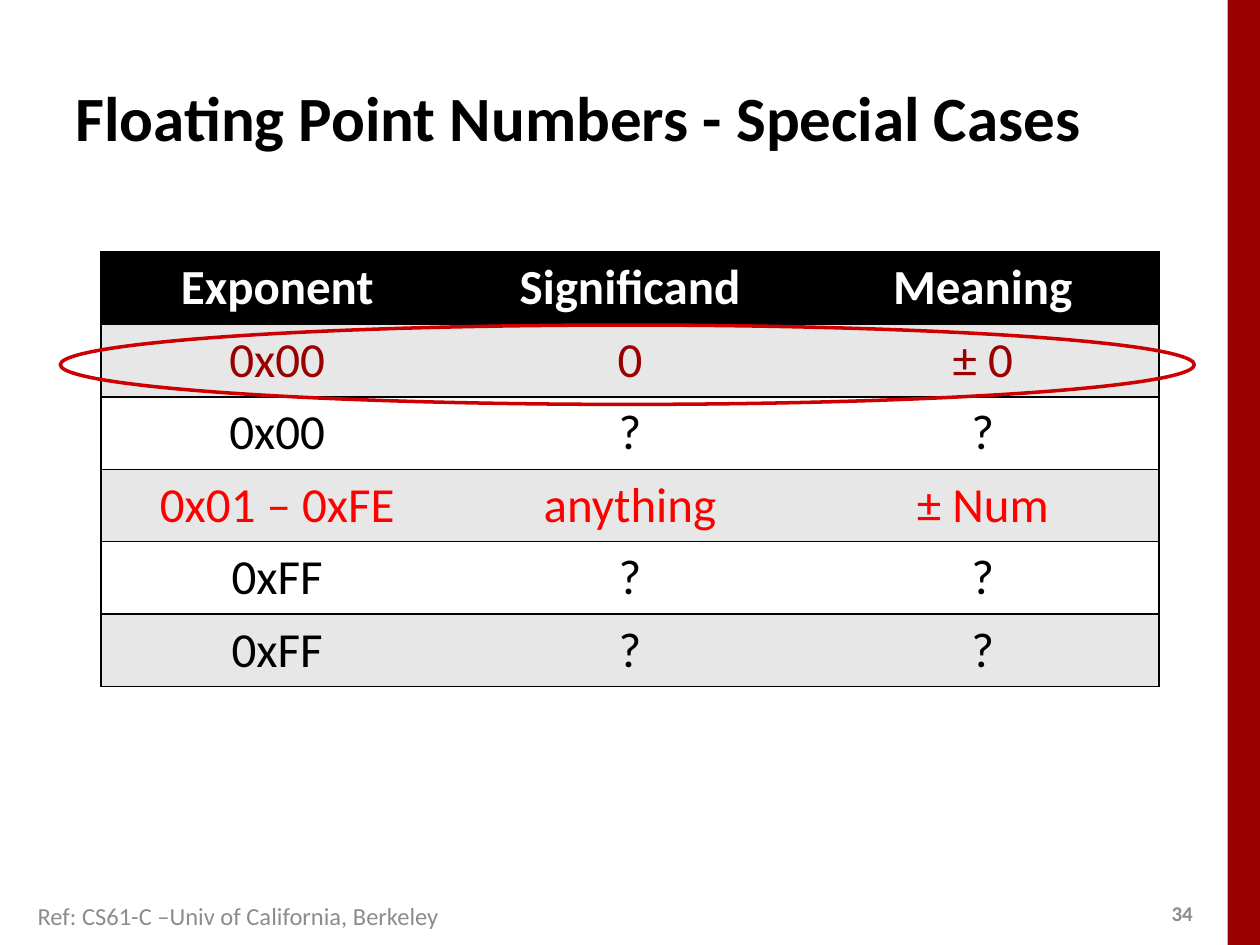
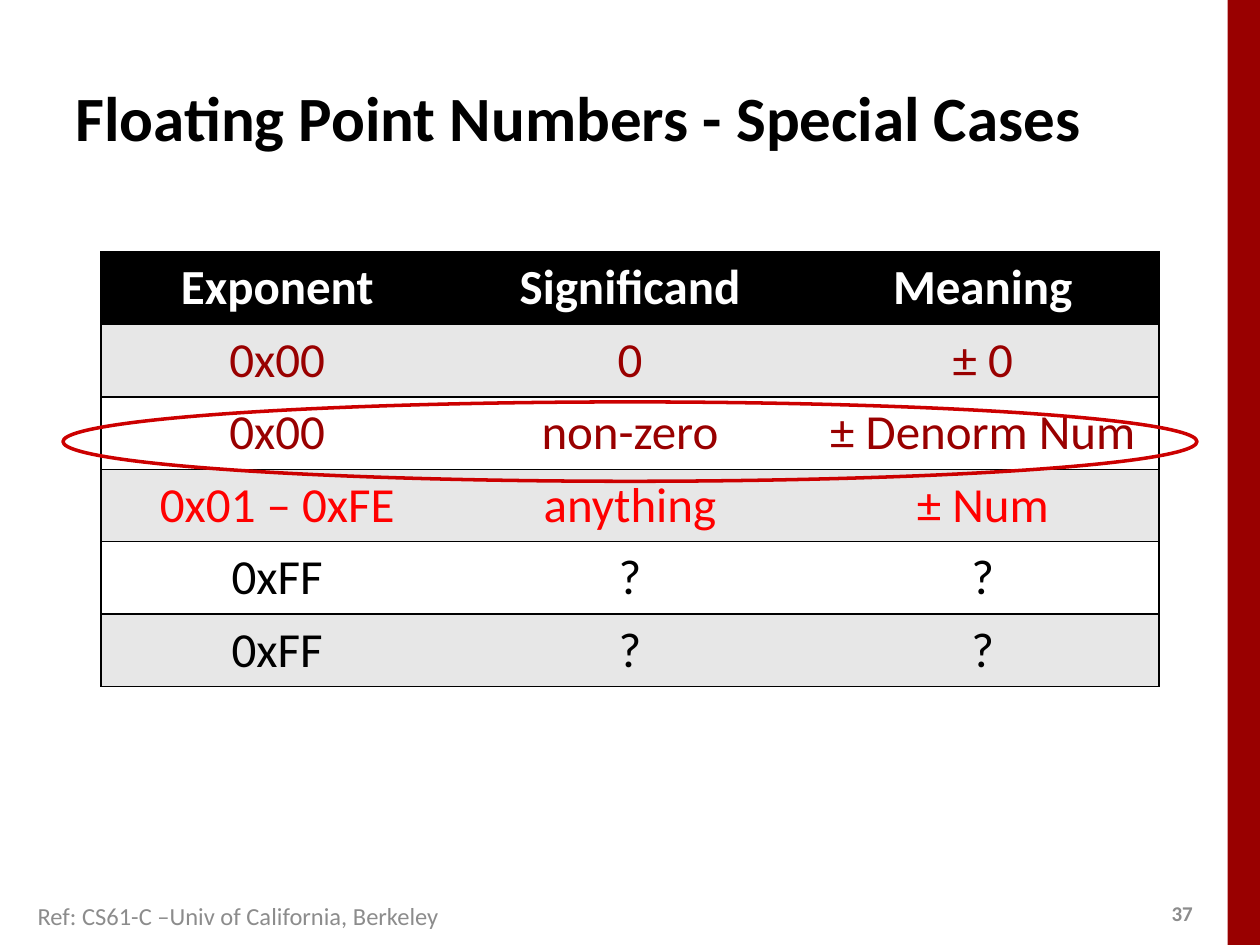
"""Build two slides on the special cases of floating point numbers."""
import dataclasses

import lxml.etree
import pptx
import pptx.dml.color
import pptx.enum.shapes
import pptx.enum.text
import pptx.oxml.ns
import pptx.util

Pt = pptx.util.Pt
qn = pptx.oxml.ns.qn
ALIGN = pptx.enum.text.PP_ALIGN
ANCHOR = pptx.enum.text.MSO_ANCHOR
SHAPE = pptx.enum.shapes.MSO_SHAPE

FONT = "Calibri"
COLORS = {
    "black": "000000",
    "white": "FFFFFF",
    "stripe": "E7E7E7",
    "grey": "8C8C8C",
    "crimson": "990000",
    "red": "FF0000",
    "ring": "CC0000",
}
TITLE = "Floating Point Numbers - Special Cases"
REFERENCE = "Ref: CS61-C –Univ of California, Berkeley"
ROW_HEIGHT = 41.4


@dataclasses.dataclass(frozen=True)
class Box:
    left: float
    top: float
    width: float
    height: float

    def lengths(self) -> tuple:
        return Pt(self.left), Pt(self.top), Pt(self.width), Pt(self.height)


@dataclasses.dataclass(frozen=True)
class Style:
    size: float
    color: str
    bold: bool = False


@dataclasses.dataclass(frozen=True)
class Row:
    cells: tuple[str, str, str]
    color: str = "black"


@dataclasses.dataclass(frozen=True)
class CaseSlide:
    number: str
    denormal: Row
    ring: Box


HEADER = Row(("Exponent", "Significand", "Meaning"), "white")
ZERO = Row(("0x00", "0", "± 0"), "crimson")
NORMAL = Row(("0x01 – 0xFE", "anything", "± Num"), "red")
UNKNOWN = Row(("0xFF", "?", "?"))

SLIDES = (
    CaseSlide("34", Row(("0x00", "?", "?")), Box(34.5, 185.75, 648, 45.36)),
    CaseSlide("37", Row(("0x00", "non-zero", "± Denorm Num"), "crimson"),
              Box(36, 229.7, 648, 45.36)),
)


def rgb(name: str) -> pptx.dml.color.RGBColor:
    return pptx.dml.color.RGBColor.from_string(COLORS[name])


def write(tf, text: str, style: Style, align=ALIGN.LEFT):
    p = tf.paragraphs[0]
    p.alignment = align
    r = p.add_run()
    r.text = text
    r.font.name = FONT
    r.font.size = Pt(style.size)
    r.font.bold = style.bold
    r.font.color.rgb = rgb(style.color)
    return p


def add_text(s, box: Box, text: str, style: Style, anchor) -> None:
    tf = s.shapes.add_textbox(*box.lengths()).text_frame
    tf.word_wrap = True
    tf.vertical_anchor = anchor
    write(tf, text, style)


def add_band(s) -> None:
    sp = s.shapes.add_shape(SHAPE.RECTANGLE, *Box(701.5, 0, 18.5, 540).lengths())
    sp.shadow.inherit = False
    sp.fill.solid()
    sp.fill.fore_color.rgb = rgb("crimson")
    sp.line.fill.background()


def set_title(s) -> None:
    title = s.shapes.title
    title.left, title.top, title.width, title.height = Box(36, 21.6, 648, 90).lengths()
    tf = title.text_frame
    tf.word_wrap = True
    tf.vertical_anchor = ANCHOR.MIDDLE
    p = write(tf, TITLE, Style(36, "black", True))
    pPr = p._p.get_or_add_pPr()
    pPr.set("marL", str(Pt(9.36)))
    pPr.set("indent", str(Pt(-9.36)))


def set_borders(cell, drawn: dict[str, bool]) -> None:
    tcPr = cell._tc.get_or_add_tcPr()
    for side, visible in drawn.items():
        ln = lxml.etree.SubElement(tcPr, qn(f"a:ln{side}"), w=str(Pt(1)))
        if visible:
            fill = lxml.etree.SubElement(ln, qn("a:solidFill"))
            lxml.etree.SubElement(fill, qn("a:srgbClr"), val=COLORS["black"])
        else:
            lxml.etree.SubElement(ln, qn("a:noFill"))


def add_case_table(s, rows: tuple[Row, ...]) -> None:
    columns = len(HEADER.cells)
    box = Box(57.6, 144, 604.8, ROW_HEIGHT * len(rows))
    table = s.shapes.add_table(len(rows), columns, *box.lengths()).table
    table.horz_banding = False
    for i, row in enumerate(rows):
        table.rows[i].height = Pt(ROW_HEIGHT)
        background = "black" if i == 0 else "stripe" if i % 2 else "white"
        for j, text in enumerate(row.cells):
            cell = table.cell(i, j)
            set_borders(cell, {"L": j == 0, "R": j == columns - 1, "T": True, "B": True})
            cell.fill.solid()
            cell.fill.fore_color.rgb = rgb(background)
            write(cell.text_frame, text, Style(28, row.color, i == 0), ALIGN.CENTER)


def add_ring(s, box: Box) -> None:
    sp = s.shapes.add_shape(SHAPE.OVAL, *box.lengths())
    sp.shadow.inherit = False
    sp.fill.background()
    sp.line.color.rgb = rgb("ring")
    sp.line.width = Pt(2)


def add_case_slide(prs, case: CaseSlide) -> None:
    s = prs.slides.add_slide(prs.slide_layouts[5])
    add_band(s)
    add_text(s, Box(662.4, 511.2, 28.8, 21.6), case.number,
             Style(12, "grey", True), ANCHOR.MIDDLE)
    set_title(s)
    add_case_table(s, (HEADER, ZERO, case.denormal, NORMAL, UNKNOWN, UNKNOWN))
    add_text(s, Box(14.4, 511.2, 357.84, 20.88), REFERENCE, Style(14, "grey"), ANCHOR.TOP)
    add_ring(s, case.ring)


def main() -> None:
    prs = pptx.Presentation()
    prs.slide_width, prs.slide_height = Pt(720), Pt(540)
    for case in SLIDES:
        add_case_slide(prs, case)
    prs.save("out.pptx")


if __name__ == "__main__":
    main()
